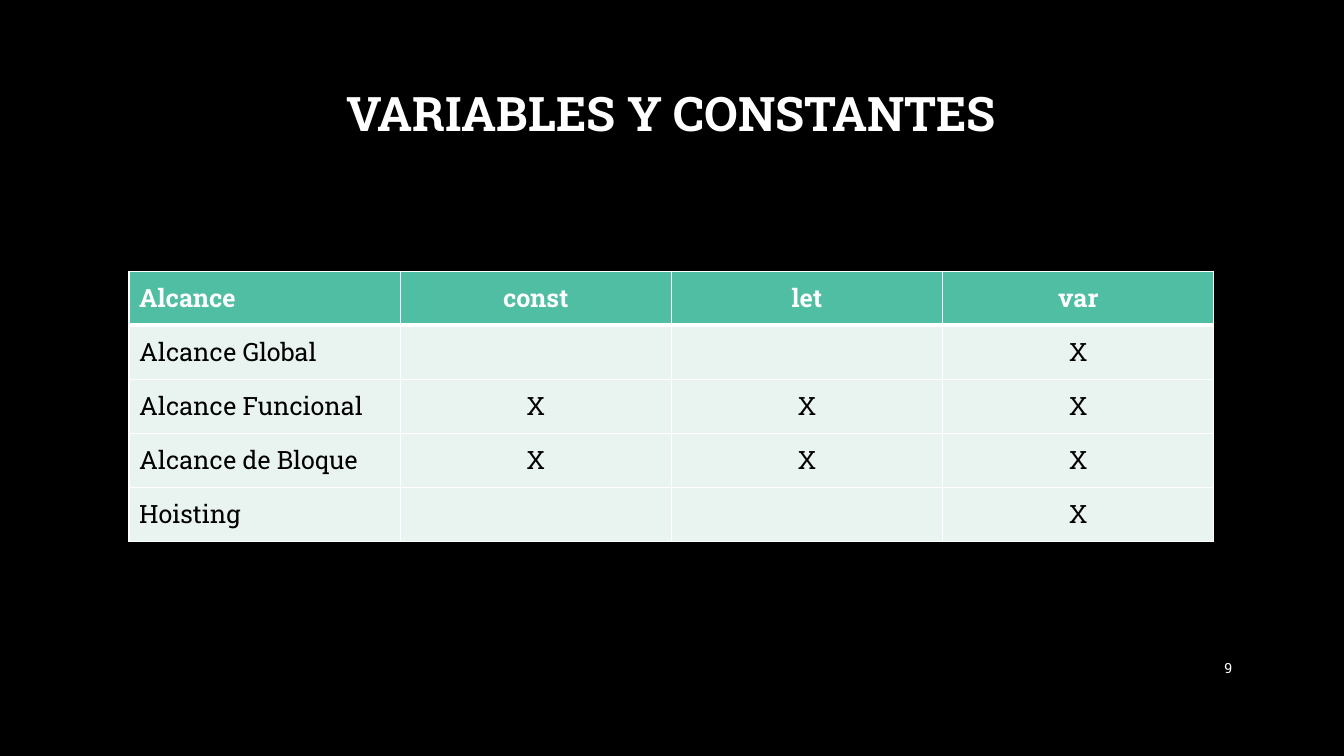
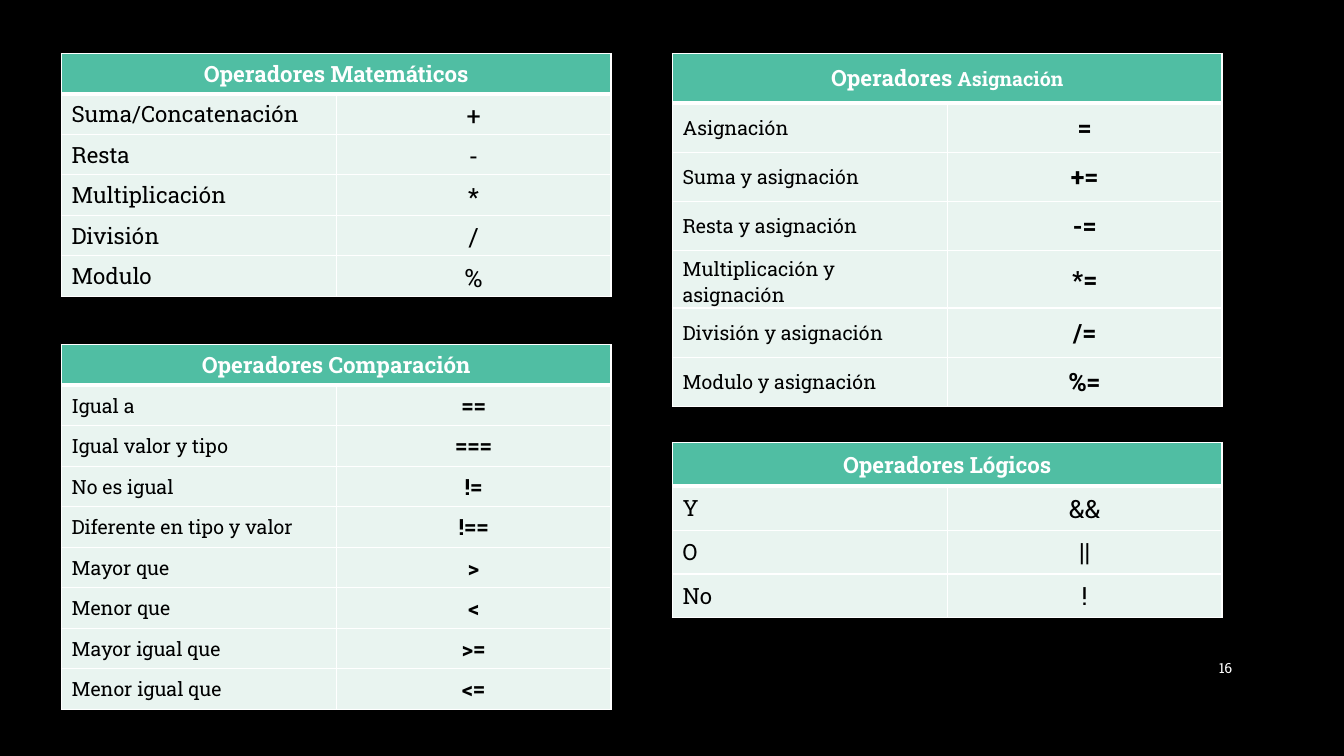
from dataclasses import dataclass
from typing import Any

import lxml.etree
import pptx
import pptx.dml.color
import pptx.enum.text
import pptx.oxml.ns
import pptx.util

Inches = pptx.util.Inches
Pt = pptx.util.Pt
Align = pptx.enum.text.PP_ALIGN
MIDDLE = pptx.enum.text.MSO_ANCHOR.MIDDLE

FONT = "Roboto Slab"
BLACK = "000000"
WHITE = "FFFFFF"
GREEN = "50BEA3"
MINT = "E9F4F0"


@dataclass(frozen=True)
class Box:
    left: float
    top: float
    width: float
    height: float


@dataclass(frozen=True)
class Run:
    text: str
    size: float
    color: str = WHITE
    bold: bool = False


@dataclass(frozen=True)
class OperatorTable:
    box: Box
    heading: list[Run]
    rows: list[tuple[str, str]]
    name_size: float
    symbol_size: float
    symbol_bold: bool


def rgb(color: str) -> pptx.dml.color.RGBColor:
    return pptx.dml.color.RGBColor.from_string(color)


def apply_format(target: Any, values: dict[str, Any]) -> None:
    for name, value in values.items():
        setattr(target, name, value)


def paint(fill: Any, color: str) -> None:
    fill.solid()
    fill.fore_color.rgb = rgb(color)


def write_runs(paragraph: Any, runs: list[Run], alignment: Any) -> None:
    paragraph.alignment = alignment
    for item in runs:
        run = paragraph.add_run()
        run.text = item.text
        apply_format(run.font, {"name": FONT, "size": Pt(item.size), "bold": item.bold})
        run.font.color.rgb = rgb(item.color)


def add_border(cell: Any, side: str, width: float) -> None:
    properties = cell._tc.get_or_add_tcPr()
    line = lxml.etree.SubElement(
        properties, pptx.oxml.ns.qn(f"a:ln{side}"), w=str(int(Pt(width)))
    )
    fill = lxml.etree.SubElement(line, pptx.oxml.ns.qn("a:solidFill"))
    lxml.etree.SubElement(fill, pptx.oxml.ns.qn("a:srgbClr"), val=WHITE)


def add_table(slide: Any, box: Box, row_count: int, column_count: int) -> Any:
    frame = slide.shapes.add_table(
        row_count, column_count,
        Inches(box.left), Inches(box.top), Inches(box.width), Inches(box.height),
    )
    table = frame.table
    table.horz_banding = False
    for row_index in range(row_count):
        for column_index in range(column_count):
            cell = table.cell(row_index, column_index)
            thick_side = {0: "B", 1: "T"}.get(row_index)
            for side in "LRTB":
                add_border(cell, side, 3 if side == thick_side else 1)
            paint(cell.fill, MINT if row_index else GREEN)
            cell.vertical_anchor = MIDDLE
    return table


def write_cell(cell: Any, runs: list[Run], alignment: Any) -> None:
    write_runs(cell.text_frame.paragraphs[0], runs, alignment)


def add_operator_table(slide: Any, content: OperatorTable) -> None:
    table = add_table(slide, content.box, len(content.rows) + 1, 2)
    table.cell(0, 0).merge(table.cell(0, 1))
    write_cell(table.cell(0, 0), content.heading, Align.CENTER)
    for index, (name, symbol) in enumerate(content.rows, start=1):
        name_run = Run(name, content.name_size, BLACK)
        symbol_run = Run(symbol, content.symbol_size, BLACK, content.symbol_bold)
        write_cell(table.cell(index, 0), [name_run], Align.LEFT)
        write_cell(table.cell(index, 1), [symbol_run], Align.CENTER)


def add_scope_table(slide: Any, box: Box, rows: list[list[str]]) -> None:
    table = add_table(slide, box, len(rows), len(rows[0]))
    for row_index, row in enumerate(rows):
        header = row_index == 0
        for column_index, text in enumerate(row):
            if text:
                run = Run(text, 18, WHITE if header else BLACK, header)
                alignment = Align.CENTER if column_index else Align.LEFT
                write_cell(table.cell(row_index, column_index), [run], alignment)


def write_title(slide: Any, text: str) -> None:
    title = slide.shapes.title
    apply_format(title, {
        "left": Inches(1), "top": Inches(0.67),
        "width": Inches(11.32), "height": Inches(0.97),
    })
    apply_format(title.text_frame, {
        "word_wrap": True, "vertical_anchor": MIDDLE,
        "auto_size": pptx.enum.text.MSO_AUTO_SIZE.NONE,
    })
    paragraph = title.text_frame.paragraphs[0]
    paragraph.line_spacing = 0.9
    write_runs(paragraph, [Run(text, 34, bold=True)], Align.CENTER)


def add_page_number(slide: Any, number: int) -> None:
    shape = slide.shapes.add_textbox(Inches(11.5), Inches(6.43), Inches(0.82), Inches(0.4))
    apply_format(shape.text_frame, {"word_wrap": True, "vertical_anchor": MIDDLE})
    write_runs(shape.text_frame.paragraphs[0], [Run(str(number), 10)], Align.RIGHT)


SCOPE_ROWS = [
    ["Alcance", "const", "let", "var"],
    ["Alcance Global", "", "", "X"],
    ["Alcance Funcional", "X", "X", "X"],
    ["Alcance de Bloque", "X", "X", "X"],
    ["Hoisting", "", "", "X"],
]

LEFT_COLUMN = 0.61
RIGHT_COLUMN = 6.67
TABLE_WIDTH = 5.45

OPERATOR_TABLES = [
    OperatorTable(
        Box(LEFT_COLUMN, 0.53, TABLE_WIDTH, 2.41),
        [Run("Operadores Matemáticos", 16, bold=True)],
        [
            ("Suma/Concatenación", "+"),
            ("Resta", "-"),
            ("Multiplicación", "*"),
            ("División", "/"),
            ("Modulo", "%"),
        ],
        16, 18, False,
    ),
    OperatorTable(
        Box(RIGHT_COLUMN, 0.53, TABLE_WIDTH, 3.43),
        [Run("Operadores", 16, bold=True), Run(" Asignación", 14, bold=True)],
        [
            ("Asignación", "="),
            ("Suma y asignación", "+="),
            ("Resta y asignación", "-="),
            ("Multiplicación y asignación", "*="),
            ("División y asignación", "/="),
            ("Modulo y asignación", "%="),
        ],
        14, 18, True,
    ),
    OperatorTable(
        Box(LEFT_COLUMN, 3.42, TABLE_WIDTH, 3.62),
        [Run("Operadores Comparación", 16, bold=True)],
        [
            ("Igual a", "=="),
            ("Igual valor y tipo", "==="),
            ("No es igual", "!="),
            ("Diferente en tipo y valor", "!=="),
            ("Mayor que", ">"),
            ("Menor que", "<"),
            ("Mayor igual que", ">="),
            ("Menor igual que", "<="),
        ],
        14, 16, True,
    ),
    OperatorTable(
        Box(RIGHT_COLUMN, 4.39, TABLE_WIDTH, 1.74),
        [Run("Operadores Lógicos", 16, bold=True)],
        [("Y", "&&"), ("O", "||"), ("No", "!")],
        16, 18, False,
    ),
]


def main() -> None:
    presentation = pptx.Presentation()
    apply_format(presentation, {"slide_width": Inches(13.33), "slide_height": Inches(7.5)})
    paint(presentation.slide_master.background.fill, BLACK)
    title_layout = presentation.slide_layouts.get_by_name("Title Only")
    blank_layout = presentation.slide_layouts.get_by_name("Blank")

    scope_slide = presentation.slides.add_slide(title_layout)
    write_title(scope_slide, "VARIABLES Y CONSTANTES")
    add_scope_table(scope_slide, Box(1.28, 2.69, 10.76, 2.68), SCOPE_ROWS)
    add_page_number(scope_slide, 9)

    operator_slide = presentation.slides.add_slide(blank_layout)
    add_page_number(operator_slide, 16)
    for content in OPERATOR_TABLES:
        add_operator_table(operator_slide, content)

    presentation.save("out.pptx")


if __name__ == "__main__":
    main()
